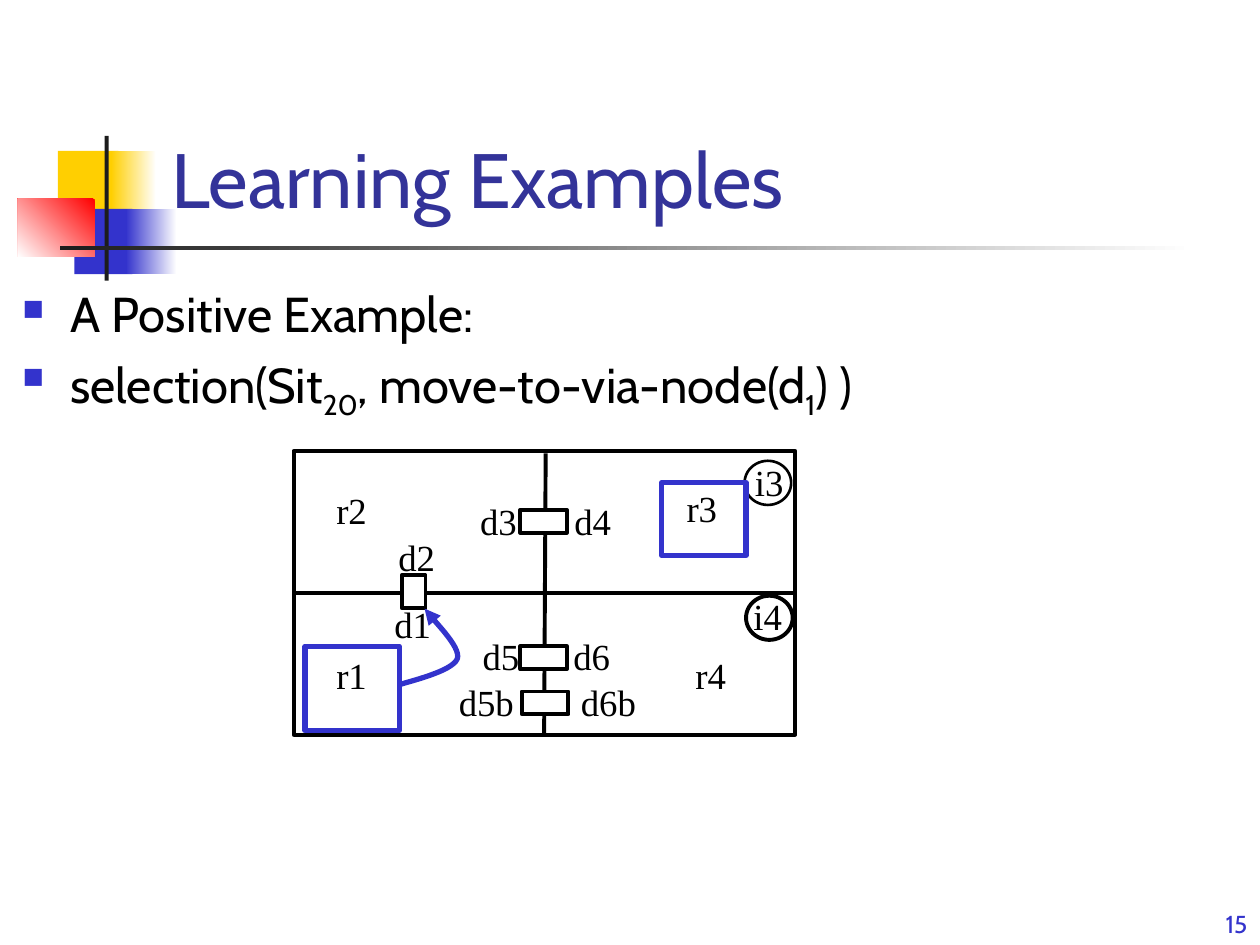
import pptx
import pptx.dml.color
import pptx.enum.shapes
import pptx.enum.text
import pptx.oxml
import pptx.oxml.ns
import pptx.util

Cm = pptx.util.Cm
Pt = pptx.util.Pt
KIND = pptx.enum.shapes.MSO_SHAPE
ALIGN = pptx.enum.text.PP_ALIGN
ANCHOR = pptx.enum.text.MSO_ANCHOR
BLACK, WHITE, BLUE, DARK = "000000", "FFFFFF", "3333CC", "1C1C1C"
LABEL = {"size": Pt(21), "name": "Times New Roman"}
TITLE = {"size": Pt(44), "name": "Cabin"}
BODY = {"size": Pt(28), "name": "Cabin"}
NUMBER = {"size": Pt(14), "name": "Cabin"}
BARE = {"margin_left": 0, "margin_right": 0, "margin_top": 0,
        "margin_bottom": 0, "word_wrap": False,
        "auto_size": pptx.enum.text.MSO_AUTO_SIZE.SHAPE_TO_FIT_TEXT}
LOW = {"word_wrap": True, "vertical_anchor": ANCHOR.BOTTOM}


def tint(code):
    return pptx.dml.color.RGBColor.from_string(code)


def style(item, form):
    for key, value in form.items():
        setattr(item, key, value)


def node(tag, attrs=""):
    space = pptx.oxml.ns.nsdecls("a")
    return pptx.oxml.parse_xml(f"<a:{tag} {space} {attrs}/>")


def add_run(para, text, font, color, base=0):
    run = para.add_run()
    run.text = text
    style(run.font, font)
    run.font.color.rgb = tint(color)
    if base:
        run.font._element.set("baseline", str(base * 1000))


def add_text(shapes, box, text, font, color, frame, align=ALIGN.LEFT):
    area = shapes.add_textbox(*map(Cm, box)).text_frame
    style(area, frame)
    para = area.paragraphs[0]
    para.alignment = align
    add_run(para, text, font, color)


def add_form(shapes, box, fill=None, line=None, width=2.25, kind=KIND.RECTANGLE):
    """Add a preset shape; a fill of (from, to, angle) is a gradient."""
    shape = shapes.add_shape(kind, *map(Cm, box))
    shape.shadow.inherit = False
    if fill is None:
        shape.fill.background()
    elif isinstance(fill, tuple):
        *ends, angle = fill
        shape.fill.gradient()
        shape.fill.gradient_angle = angle
        for stop, code in zip(shape.fill.gradient_stops, ends):
            stop.color.rgb = tint(code)
    else:
        shape.fill.solid()
        shape.fill.fore_color.rgb = tint(fill)
    if line:
        shape.line.width = Pt(width)
        shape.line.color.rgb = tint(line)
    else:
        shape.line.fill.background()


def add_wall(shapes, *ends):
    wall = shapes.add_connector(pptx.enum.shapes.MSO_CONNECTOR.STRAIGHT,
                                *map(Cm, ends))
    wall.line.width = Pt(2.25)
    wall.line.color.rgb = tint(BLACK)
    wall._element.spPr.append(node("effectLst"))


def draw_motif(shapes, left, top):
    parts = [
        ((0.81, 0.3, 1.22, 1.32), "FFCF01"),
        ((1.88, 0.3, 0.91, 1.32), (WHITE, "FFCF01", 180)),
        ((1.14, 1.47, 1.17, 1.32), BLUE),
        ((2.18, 1.47, 1.02, 1.32), (WHITE, BLUE, 180)),
        ((0, 1.27, 1.55, 1.17), ("FF0000", WHITE, 225)),
        ((1.75, 0, 0.08, 2.92), DARK),
        ((0.86, 2.21, 22.86, 0.1), (WHITE, DARK, 180)),
    ]
    for (x, y, wide, high), fill in parts:
        add_form(shapes, (left + x, top + y, wide, high), fill)


def draw_body(shapes, box):
    area = shapes.add_textbox(*map(Cm, box)).text_frame
    area.word_wrap = True
    lines = [
        [("A Positive Example:", 0)],
        [("selection(Sit", 0), ("20", -25), (", move-to-via-node(d", 0),
         ("1", -25), (") )", 0)],
    ]
    for index, runs in enumerate(lines):
        para = area.add_paragraph() if index else area.paragraphs[0]
        style(para, {"line_spacing": 0.9, "space_before": Pt(7 if index else 0)})
        props = para._p.get_or_add_pPr()
        props.set("marL", str(Cm(0.97)))
        props.set("indent", str(-Cm(0.97)))
        color = node("buClr")
        color.append(node("srgbClr", f'val="{BLUE}"'))
        props.extend([color, node("buSzPct", 'val="60000"'),
                      node("buChar", 'char="■"')])
        for text, base in runs:
            add_run(para, text, BODY, BLACK, base)


def draw_plan(shapes, left, top, wide, high):
    """Draw the floor plan: walls, doors, room and door labels, nodes."""
    group = shapes.add_group_shape().shapes
    add_form(group, (left, top, wide, high), WHITE, BLACK)
    add_wall(group, left + 5.08, top + 0.05, left + 5.05, top + high - 0.03)
    add_wall(group, left + 0.03, top + 2.87, left + wide, top + 2.87)

    doors = [(4.57, 1.19, 0.94, 0.46), (4.57, 3.94, 0.94, 0.46),
             (4.6, 4.85, 0.94, 0.46), (2.18, 2.51, 0.48, 0.66)]
    for x, y, *size in doors:
        add_form(group, (left + x, top + y, *size), WHITE, BLACK)

    labels = {
        "r1": (0.86, 4.06), "r2": (0.86, 0.74),
        "r3": (7.92, 0.71), "r4": (8.1, 4.06),
        "d1": (2.03, 3.05), "d2": (2.11, 1.7),
        "d3": (3.76, 0.97), "d4": (5.66, 0.97),
        "d5": (3.81, 3.68), "d6": (5.64, 3.68),
        "d5b": (3.33, 4.62), "d6b": (5.79, 4.62),
        "i4": (9.27, 2.87), "i3": (9.3, 0.18),
    }
    narrow = {"r": 0.26, "i": 0.22}
    for text, (x, y) in labels.items():
        size = sum(narrow.get(sign, 0.38) for sign in text)
        add_text(group, (left + x, top + y, size, 0.89), text, LABEL, BLACK, BARE)

    for x, y, width in [(9.12, 2.92, 2.25), (9.09, 0.2, 1.5)]:
        add_form(group, (left + x, top + y, 0.94, 0.89), None, BLACK, width,
                 KIND.OVAL)


def bend(ends, count=16):
    """Return points along a cubic curve, without its first point."""
    steps = [step / count for step in range(1, count + 1)]
    return [tuple((1 - t) ** 3 * a + 3 * (1 - t) ** 2 * t * b
                  + 3 * (1 - t) * t ** 2 * c + t ** 3 * d
                  for a, b, c, d in zip(*ends)) for t in steps]


def draw_move(shapes, left, top):
    """Mark the start and goal rooms and the way to the door."""
    knots = [(2.11, 4.72), (2.31, 4.65), (3.2, 4.45), (3.3, 4.19),
             (3.38, 3.94), (2.79, 3.4), (2.64, 3.18)]
    knots = [(Cm(left + x), Cm(top + y)) for x, y in knots]
    maker = shapes.build_freeform(*knots[0])
    maker.add_line_segments(bend(knots[:4]) + bend(knots[3:]), close=False)
    arrow = maker.convert_to_shape()
    arrow.shadow.inherit = False
    arrow.fill.background()
    arrow.line.width = Pt(3)
    arrow.line.color.rgb = tint(BLUE)
    arrow.line._get_or_add_ln().append(node("tailEnd", 'type="triangle"'))
    for x, y, *size in [(7.42, 0.64, 1.7, 1.47), (0.23, 3.94, 1.9, 1.7)]:
        add_form(shapes, (left + x, top + y, *size), None, BLUE, 3)


def main():
    deck = pptx.Presentation()
    style(deck, {"slide_width": Cm(25.4), "slide_height": Cm(19.05)})
    shapes = deck.slides.add_slide(deck.slide_layouts[6]).shapes
    draw_motif(shapes, 0.36, 2.74)
    draw_body(shapes, (0.2, 5.72, 25.2, 11.43))
    draw_plan(shapes, 5.92, 9.09, 10.11, 5.72)
    add_text(shapes, (3.2, 0.58, 21.64, 4.06), "Learning Examples",
             TITLE, "333399", LOW)
    draw_move(shapes, 5.92, 9.09)
    add_text(shapes, (20.12, 17.78, 5.28, 1.27), "15", NUMBER, BLUE, LOW,
             ALIGN.RIGHT)
    deck.save("out.pptx")


if __name__ == "__main__":
    main()
